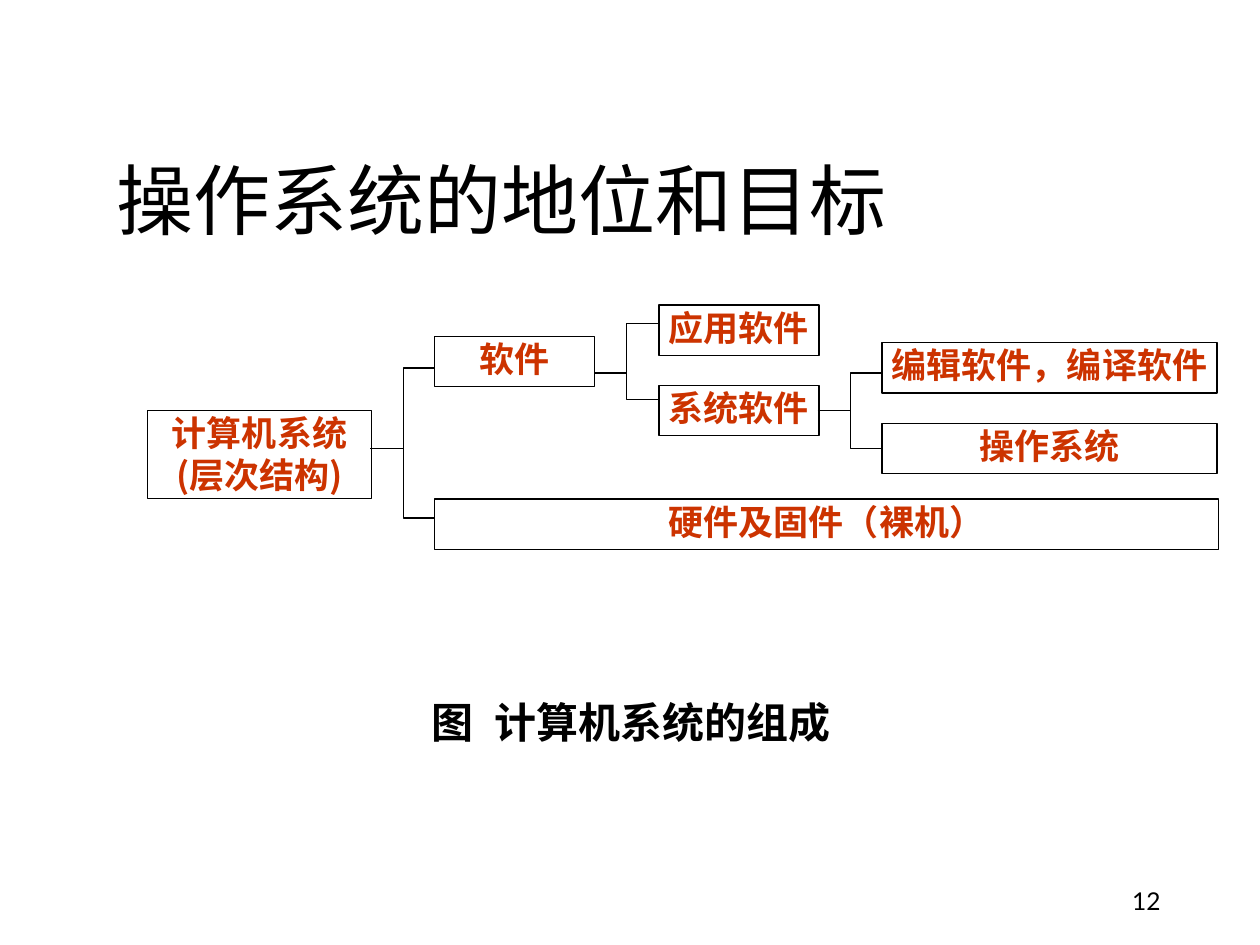
from pptx import Presentation
from pptx.dml.color import RGBColor
from pptx.enum.lang import MSO_LANGUAGE_ID
from pptx.enum.shapes import MSO_CONNECTOR, MSO_SHAPE
from pptx.enum.text import MSO_ANCHOR, PP_ALIGN
from pptx.oxml.ns import qn
from pptx.util import Inches, Pt
from lxml import etree

BLACK = RGBColor(0x00, 0x00, 0x00)
RED = RGBColor(0xCC, 0x33, 0x00)
CHINESE = MSO_LANGUAGE_ID.SIMPLIFIED_CHINESE
RECTANGLE = MSO_SHAPE.RECTANGLE
STRAIGHT = MSO_CONNECTOR.STRAIGHT
TOP, MIDDLE = MSO_ANCHOR.TOP, MSO_ANCHOR.MIDDLE
LEFT, CENTER, RIGHT = PP_ALIGN.LEFT, PP_ALIGN.CENTER, PP_ALIGN.RIGHT

TITLE = {"name": "Calibri", "size": Pt(44), "language_id": CHINESE}
NODE = {"name": "Noto Sans CJK SC", "size": Pt(20), "bold": True, "language_id": CHINESE}
CAPTION = {**NODE, "size": Pt(24)}
NUMBER = {"name": "Lato", "size": Pt(14)}

NODE_HEIGHT = 0.4
BRACKET_WIDTH = 0.25


class TreeSlide:
    def __init__(self, slide, line_width=Pt(0.75), inset=Inches(0.01)):
        self.shapes = slide.shapes
        self.line_width = line_width
        self.inset = inset

    def outline(self, shape):
        shape.line.color.rgb = BLACK
        shape.line.width = self.line_width

    def fill_frame(self, frame, lines, style, color, align, spacing=None):
        for index, text in enumerate(lines):
            paragraph = frame.add_paragraph() if index else frame.paragraphs[0]
            paragraph.alignment = align
            paragraph.line_spacing = spacing
            run = paragraph.add_run()
            run.text = text
            for name, value in style.items():
                setattr(run.font, name, value)
            run.font.color.rgb = color

    def text(self, box, text, style, align=LEFT, anchor=TOP, wrap=True, spacing=None):
        frame = self.shapes.add_textbox(*map(Inches, box)).text_frame
        frame.word_wrap = wrap
        frame.vertical_anchor = anchor
        self.fill_frame(frame, [text], style, BLACK, align, spacing)

    def node(self, left, top, width, *lines, height=NODE_HEIGHT):
        shape = self.shapes.add_shape(RECTANGLE, *map(Inches, (left, top, width, height)))
        shape.shadow.inherit = False
        shape.fill.background()
        self.outline(shape)
        frame = shape.text_frame
        frame.word_wrap = True
        frame.vertical_anchor = TOP
        for side in ("left", "right", "top", "bottom"):
            setattr(frame, f"margin_{side}", self.inset)
        self.fill_frame(frame, lines, NODE, RED, CENTER)

    def line(self, start, end):
        connector = self.shapes.add_connector(STRAIGHT, *map(Inches, start + end))
        self.outline(connector)
        etree.SubElement(connector.element.spPr, qn("a:effectLst"))

    def bracket(self, parent_right, trunk, child_left, top, bottom):
        """Join a parent to its two children."""
        spine = child_left - BRACKET_WIDTH
        self.line((parent_right, trunk), (spine, trunk))
        builder = self.shapes.build_freeform(Inches(child_left), Inches(top))
        corners = [(spine, top), (spine, bottom), (child_left, bottom)]
        builder.add_line_segments([tuple(map(Inches, corner)) for corner in corners], close=False)
        shape = builder.convert_to_shape()
        shape.shadow.inherit = False
        shape.fill.background()
        self.outline(shape)


def main():
    presentation = Presentation()
    presentation.slide_width, presentation.slide_height = Inches(10), Inches(7.5)
    tree = TreeSlide(presentation.slides.add_slide(presentation.slide_layouts[6]))

    # Title and page number
    tree.text((0.83, 1, 8.5, 1.25), "操作系统的地位和目标", TITLE, anchor=MIDDLE, spacing=0.9)
    tree.text((7.06, 6.95, 2.25, 0.4), "12", NUMBER, align=RIGHT, anchor=MIDDLE)

    # Tree nodes, level by level
    tree.node(1.17, 3.26, 1.78, "计算机系统", "(层次结构)", height=0.7)
    tree.node(3.45, 2.67, 1.27, "软件")
    tree.node(3.45, 3.96, 6.22, "硬件及固件（裸机）")
    tree.node(5.23, 2.42, 1.27, "应用软件")
    tree.node(5.23, 3.06, 1.27, "系统软件")
    tree.node(7, 2.72, 2.66, "编辑软件，编译软件")
    tree.node(7, 3.36, 2.66, "操作系统")

    # Brackets between levels
    tree.bracket(2.94, 3.56, 3.45, 2.92, 4.11)
    tree.bracket(4.72, 2.96, 5.22, 2.57, 3.17)
    tree.bracket(6.49, 3.26, 7, 2.96, 3.56)

    # Caption
    tree.text((3.33, 5.48, 3.87, 0.5), "图\t计算机系统的组成", CAPTION, wrap=False)

    presentation.save("out.pptx")


if __name__ == "__main__":
    main()
